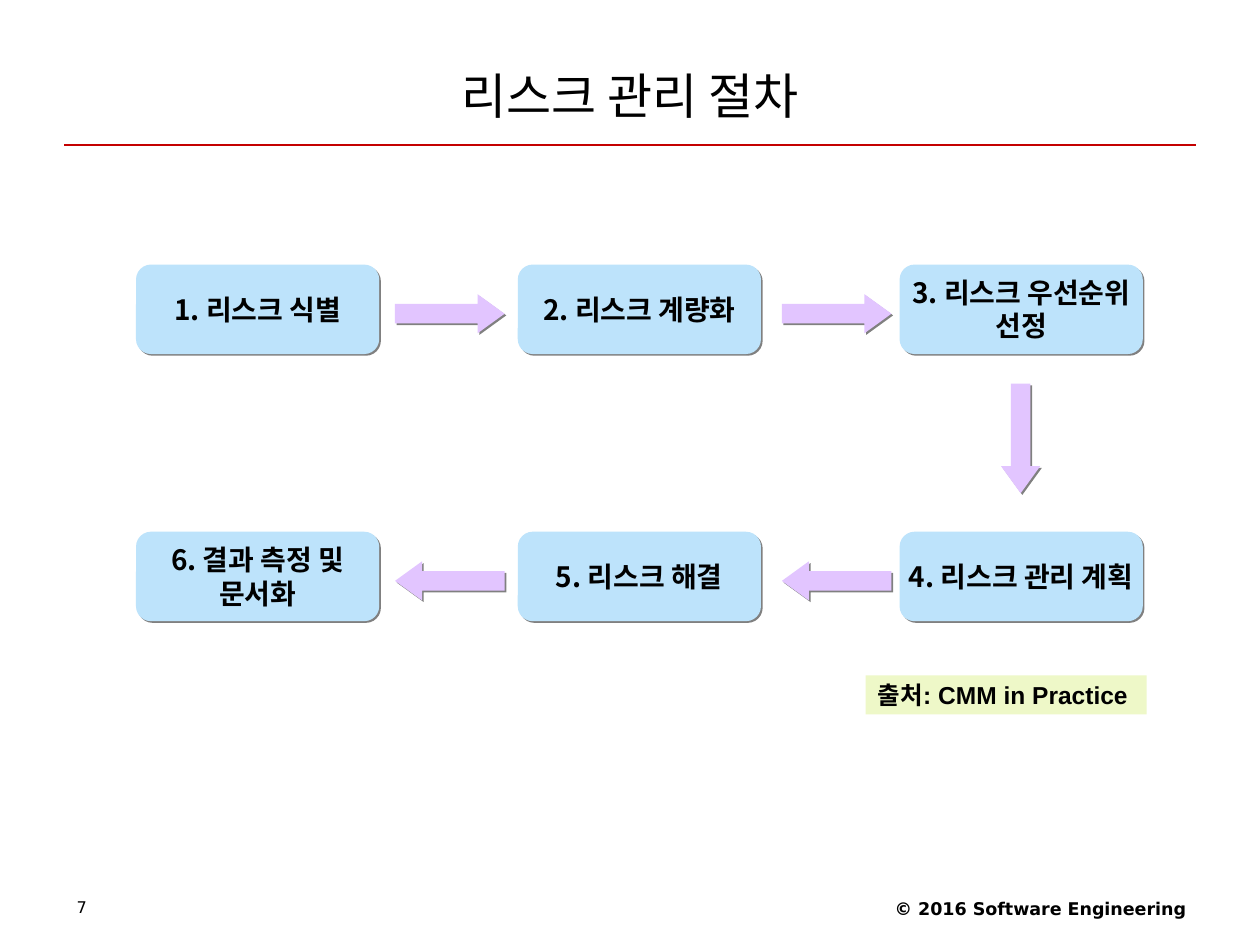
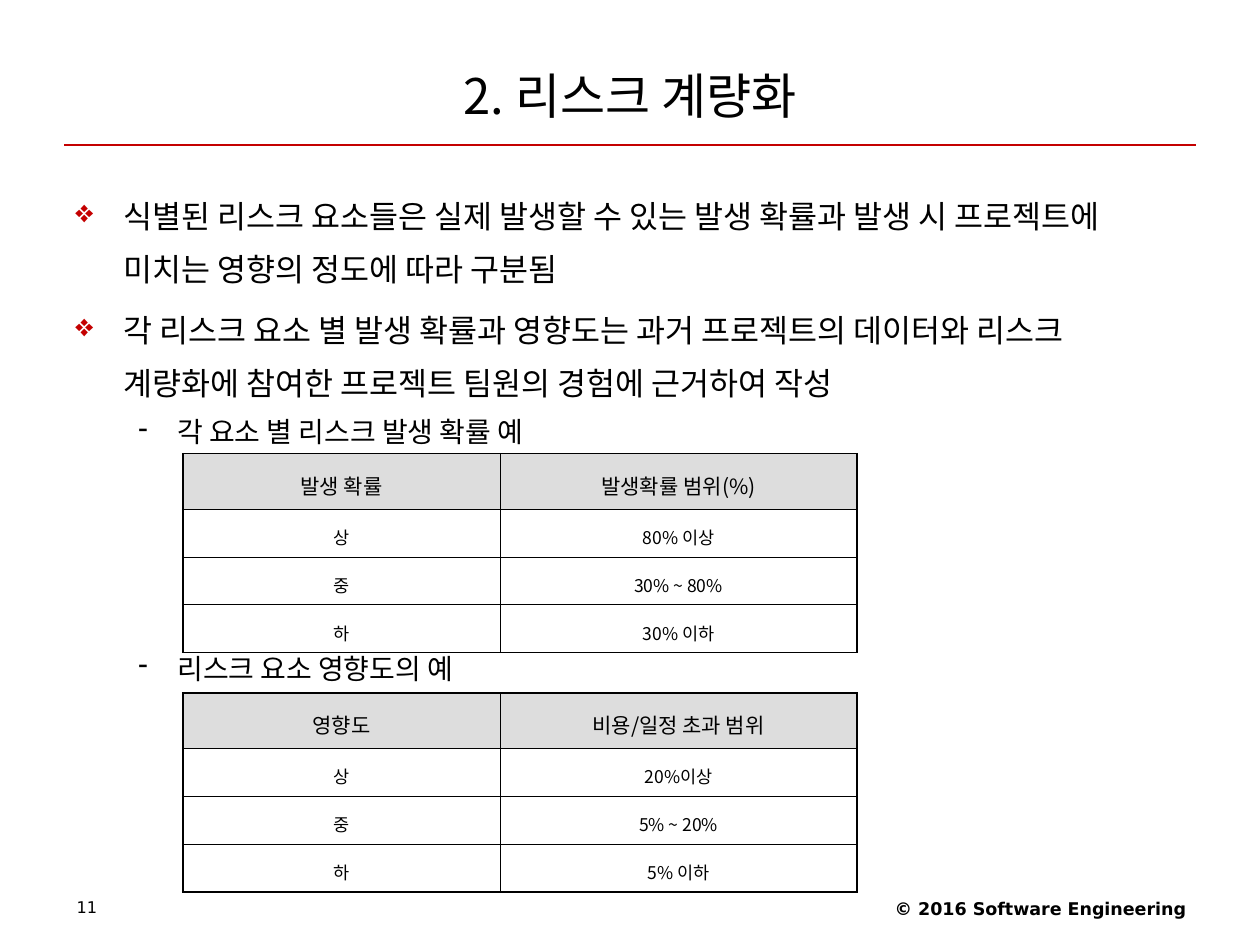
from lxml import etree
from pptx import Presentation
from pptx import util as u
from pptx.dml.color import RGBColor
from pptx.enum import shapes, text
from pptx.oxml.ns import qn

COLORS = {"ink": "000000", "red": "C40000", "box": "BDE3FB", "arrow": "E2C5FF",
          "shadow": "808080", "source": "EEF8C8", "header": "DDDDDD"}
KOREAN, LATIN, FOOTER = "Noto Sans CJK KR", "Arial", "DejaVu Sans"
COPYRIGHT = "© 2016 Software Engineering"

PROCESS = {
    "number": "7", "title": "리스크 관리 절차", "source": "출처: CMM in Practice",
    # label lines, column, row
    "steps": [(["1. 리스크 식별"], 0, 0),
              (["2. 리스크 계량화"], 1, 0),
              (["3. 리스크 우선순위", "선정"], 2, 0),
              (["4. 리스크 관리 계획"], 2, 1),
              (["5. 리스크 해결"], 1, 1),
              (["6. 결과 측정 및", "문서화"], 0, 1)],
    # centre x, centre y, rotation
    "arrows": [(3.57, 2.49, 0), (6.64, 2.49, 0), (8.1, 3.48, 90),
               (6.64, 4.61, 180), (3.57, 4.61, 180)],
}
QUANTIFY = {
    "number": "11", "title": "2. 리스크 계량화",
    # level, space before, text
    "points": [
        (0, 0, "식별된 리스크 요소들은 실제 발생할 수 있는 발생 확률과 발생 시 프로젝트에 "
               "미치는 영향의 정도에 따라 구분됨"),
        (0, 4.5, "각 리스크 요소 별 발생 확률과 영향도는 과거 프로젝트의 데이터와 리스크 "
                 "계량화에 참여한 프로젝트 팀원의 경험에 근거하여 작성"),
        (1, 4, "각 요소 별 리스크 발생 확률 예"),
        (1, 112, "리스크 요소 영향도의 예")],
    # top, rows
    "tables": [
        (3.6, [("발생 확률", "발생확률 범위(%)"), ("상", "80% 이상"),
               ("중", "30% ~ 80%"), ("하", "30% 이하")]),
        (5.5, [("영향도", "비용/일정 초과 범위"), ("상", "20%이상"),
               ("중", "5% ~ 20%"), ("하", "5% 이하")])],
}

GRID = {"left": 1.08, "top": 2.1, "col": 3.03, "row": 2.12, "w": 1.93, "h": 0.71}
ARROW_W, ARROW_H = 0.87, 0.31
LEVELS = [  # bullet, its colour, indent, hanging, size, line height
    {"char": "❖", "color": "red", "left": 0.38, "hang": 0.38, "size": 18, "line": 30.3},
    {"char": "-", "color": "ink", "left": 0.81, "hang": 0.31, "size": 16, "line": 23}]
TABLE_LEFT, TABLE_COLS = 1.45, (2.52, 2.83)
TABLE_ROWS = (0.44, 0.38, 0.38, 0.38)
CENTER = text.PP_ALIGN.CENTER


def rgb(name):
    return RGBColor.from_string(COLORS[name])


def inches(*values):
    return [u.Inches(v) for v in values]


def write(p, words, size, font=KOREAN, bold=False, **layout):
    """Put one run in a paragraph; layout holds paragraph attributes."""
    for key, value in layout.items():
        setattr(p, key, value)
    r = p.add_run()
    r.text = words
    for key, value in {"size": u.Pt(size), "name": font, "bold": bold}.items():
        setattr(r.font, key, value)
    r.font.color.rgb = rgb("ink")
    ea = etree.SubElement(r._r.get_or_add_rPr(), qn("a:ea"))
    ea.set("typeface", KOREAN)


def add_textbox(slide, *box):
    tf = slide.shapes.add_textbox(*inches(*box)).text_frame
    tf.word_wrap = True
    return tf


def add_block(slide, kind, color, *box):
    sp = slide.shapes.add_shape(kind, *inches(*box))
    sp.shadow.inherit = False
    sp.fill.solid()
    sp.fill.fore_color.rgb = rgb(color)
    sp.line.fill.background()
    return sp


def add_shadow(sp):
    effects = sp._element.spPr.find(qn("a:effectLst"))
    shadow = etree.SubElement(effects, qn("a:outerShdw"), dist=str(u.Pt(1.4)),
                              dir="2700000", algn="ctr", rotWithShape="0")
    etree.SubElement(shadow, qn("a:srgbClr"), val=COLORS["shadow"])


def add_slide(prs, content):
    """Start a slide with the shared title, rule and footers."""
    slide = prs.slides.add_slide(prs.slide_layouts[5])
    line = slide.shapes.add_connector(shapes.MSO_CONNECTOR.STRAIGHT,
                                      *inches(0.51, 1.15, 9.49, 1.15))
    line.line.color.rgb = rgb("red")
    line.line.width = u.Pt(0.75)
    etree.SubElement(line._element.spPr, qn("a:effectLst"))

    write(add_textbox(slide, 6.34, 7.08, 3.17, 0.29).paragraphs[0], COPYRIGHT, 10,
          FOOTER, True, alignment=text.PP_ALIGN.RIGHT)
    write(add_textbox(slide, 0.51, 7.09, 2.33, 0.28).paragraphs[0], content["number"],
          9.2, FOOTER, line_spacing=0.9)

    title = slide.shapes.title
    title.left, title.top, title.width, title.height = inches(0.5, 0.3, 9, 0.85)
    tf = title.text_frame
    tf.vertical_anchor = text.MSO_ANCHOR.MIDDLE
    tf.auto_size = text.MSO_AUTO_SIZE.NONE
    write(tf.paragraphs[0], content["title"], 28, alignment=CENTER,
          line_spacing=u.Pt(38))
    return slide


def add_step(slide, lines, col, row):
    sp = add_block(slide, shapes.MSO_SHAPE.ROUNDED_RECTANGLE, "box",
                   GRID["left"] + col * GRID["col"], GRID["top"] + row * GRID["row"],
                   GRID["w"], GRID["h"])
    add_shadow(sp)
    tf = sp.text_frame
    tf.word_wrap = False
    for i, words in enumerate(lines):
        p = tf.add_paragraph() if i else tf.paragraphs[0]
        write(p, words, 16, bold=True, alignment=CENTER, line_spacing=u.Pt(19))


def add_arrow(slide, x, y, rotation):
    sp = add_block(slide, shapes.MSO_SHAPE.RIGHT_ARROW, "arrow",
                   x - ARROW_W / 2, y - ARROW_H / 2, ARROW_W, ARROW_H)
    sp.adjustments[1] = 0.69
    sp.rotation = rotation
    add_shadow(sp)


def add_source(slide, words):
    sp = add_block(slide, shapes.MSO_SHAPE.RECTANGLE, "source", 6.87, 5.36, 2.23, 0.31)
    tf = sp.text_frame
    tf.word_wrap = False
    tf.vertical_anchor = text.MSO_ANCHOR.TOP
    write(tf.paragraphs[0], words, 14, LATIN, True, alignment=text.PP_ALIGN.LEFT,
          line_spacing=u.Pt(16))


def add_points(slide, points):
    tf = add_textbox(slide, 0.5, 1.39, 9, 5.51)
    for i, (level, before, words) in enumerate(points):
        p = tf.add_paragraph() if i else tf.paragraphs[0]
        style = LEVELS[level]
        pPr = p._p.get_or_add_pPr()
        pPr.set("marL", str(u.Inches(style["left"])))
        pPr.set("indent", str(-u.Inches(style["hang"])))
        color = etree.SubElement(pPr, qn("a:buClr"))
        etree.SubElement(color, qn("a:srgbClr"), val=COLORS[style["color"]])
        etree.SubElement(pPr, qn("a:buChar"), char=style["char"])
        write(p, words, style["size"], level=level, space_before=u.Pt(before),
              line_spacing=u.Pt(style["line"]))


def set_borders(cell, widths):
    for side, width in widths.items():
        ln = etree.SubElement(cell._tc.get_or_add_tcPr(), qn(f"a:ln{side}"),
                              w=str(u.Pt(width)))
        fill = etree.SubElement(ln, qn("a:solidFill"))
        etree.SubElement(fill, qn("a:srgbClr"), val=COLORS["ink"])


def add_level_table(slide, top, rows):
    frame = slide.shapes.add_table(
        len(rows), len(TABLE_COLS),
        *inches(TABLE_LEFT, top, sum(TABLE_COLS), sum(TABLE_ROWS)))
    table = frame.table
    table.first_row = table.horz_banding = False
    for col, width in zip(table.columns, TABLE_COLS):
        col.width = u.Inches(width)
    last_row, last_col = len(rows) - 1, len(TABLE_COLS) - 1
    for i, row in enumerate(rows):
        table.rows[i].height = u.Inches(TABLE_ROWS[i])
        for j, words in enumerate(row):
            cell = table.cell(i, j)
            cell.margin_left = cell.margin_right = u.Inches(0.12)
            outer = {"L": j == 0, "R": j == last_col, "T": i == 0, "B": i == last_row}
            set_borders(cell, {s: 1.08 if edge else 0.45 for s, edge in outer.items()})
            if i == 0:
                cell.fill.solid()
                cell.fill.fore_color.rgb = rgb("header")
            else:
                cell.fill.background()
            size, line = (10, 19.5) if i else (12, 23.3)
            write(cell.text_frame.paragraphs[0], words, size, alignment=CENTER,
                  line_spacing=u.Pt(line))


def main():
    prs = Presentation()
    prs.slide_width, prs.slide_height = inches(10, 7.5)

    slide = add_slide(prs, PROCESS)
    for step in PROCESS["steps"]:
        add_step(slide, *step)
    for arrow in PROCESS["arrows"]:
        add_arrow(slide, *arrow)
    add_source(slide, PROCESS["source"])

    slide = add_slide(prs, QUANTIFY)
    add_points(slide, QUANTIFY["points"])
    for table in QUANTIFY["tables"]:
        add_level_table(slide, *table)

    prs.save("out.pptx")


if __name__ == "__main__":
    main()
